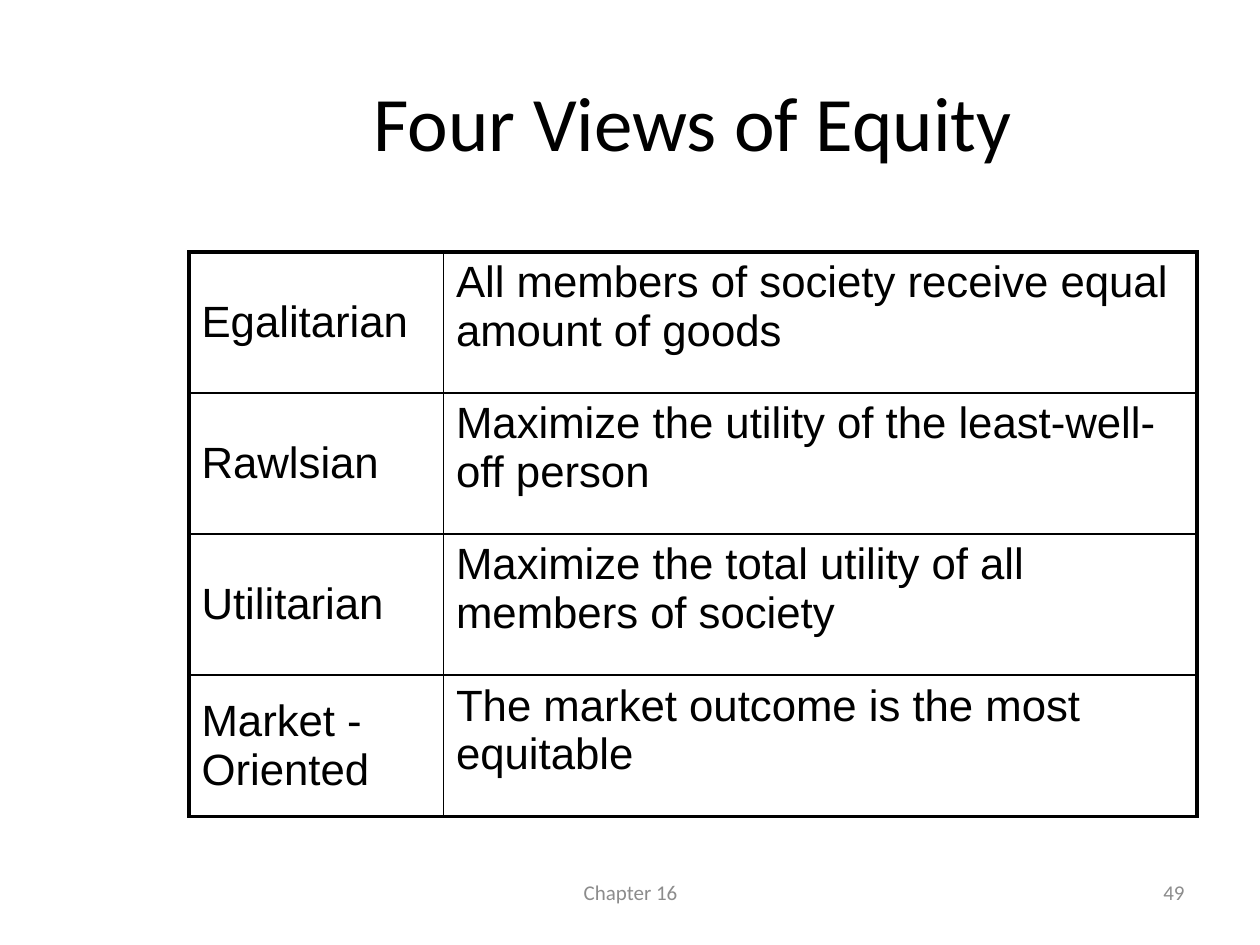
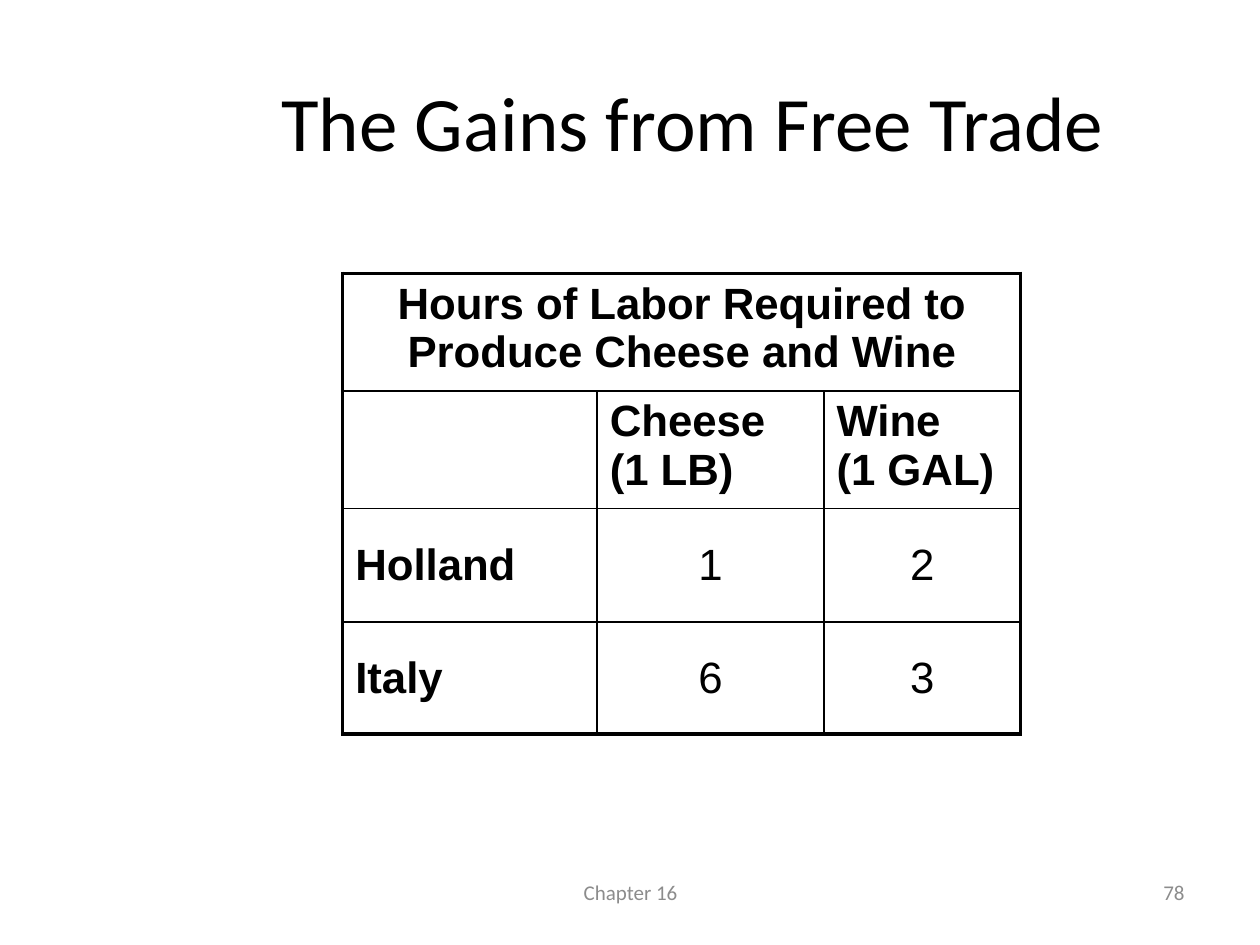
from pptx import Presentation
from pptx import util as u
from pptx.dml.color import RGBColor
from pptx.enum import text
from pptx.oxml.ns import qn
from lxml import etree

COLORS = {"ink": "000000", "muted": "8C8C8C"}
LEFT, CENTER, RIGHT = text.PP_ALIGN.LEFT, text.PP_ALIGN.CENTER, text.PP_ALIGN.RIGHT
TOP, MIDDLE = text.MSO_ANCHOR.TOP, text.MSO_ANCHOR.MIDDLE
CELL_STYLES = {
    "view": (MIDDLE, LEFT, False),
    "meaning": (TOP, LEFT, False),
    "caption": (TOP, CENTER, True),
    "head": (TOP, LEFT, True),
    "country": (MIDDLE, LEFT, True),
    "hours": (MIDDLE, CENTER, False),
}
OUTER, INNER = u.Pt(2.25), u.Pt(1)


class Deck:
    def __init__(self):
        self.prs = Presentation()
        self.prs.slide_width = u.Inches(10)
        self.prs.slide_height = u.Inches(7.5)
        self.s = None

    def slide(self, title, number):
        self.s = self.prs.slides.add_slide(self.prs.slide_layouts[6])
        self.text("Chapter 16", 3.42, 6.83, 3.17, 0.5, 12, "muted", CENTER)
        self.text(str(number), 7.17, 6.83, 2.33, 0.5, 12, "muted", RIGHT)
        self.text(title, 1.5, 0.33, 8, 1.25, 44, "ink", CENTER)

    def add_lines(self, tf, content, size, font, color, align, bold=False):
        for i, line in enumerate(content.split("\n")):
            p = tf.add_paragraph() if i else tf.paragraphs[0]
            p.alignment = align
            r = p.add_run()
            r.text = line
            r.font.name = font
            r.font.size = u.Pt(size)
            r.font.bold = bold
            r.font.color.rgb = RGBColor.from_string(COLORS[color])

    def text(self, content, x, y, w, h, size, color, align):
        sp = self.s.shapes.add_textbox(*map(u.Inches, (x, y, w, h)))
        tf = sp.text_frame
        tf.word_wrap = True
        tf.vertical_anchor = MIDDLE
        self.add_lines(tf, content, size, "Calibri", color, align)

    def borders(self, cell, outer):
        tc_pr = cell._tc.get_or_add_tcPr()
        for side in "LRTB":
            if cell.is_spanned and not outer[side]:
                continue
            width = OUTER if outer[side] else INNER
            ln = etree.SubElement(tc_pr, qn(f"a:ln{side}"), w=str(width))
            fill = etree.SubElement(ln, qn("a:solidFill"))
            etree.SubElement(fill, qn("a:srgbClr"), val=COLORS["ink"])

    def table(self, x, y, widths, heights, rows, merged_top=False):
        n_rows, n_cols = len(heights), len(widths)
        frame = self.s.shapes.add_table(
            n_rows, n_cols, *map(u.Inches, (x, y, sum(widths), sum(heights))))
        table = frame.table
        table.first_row = table.horz_banding = False
        for column, width in zip(table.columns, widths):
            column.width = u.Inches(width)
        for row, height in zip(table.rows, heights):
            row.height = u.Inches(height)
        if merged_top:
            table.cell(0, 0).merge(table.cell(0, n_cols - 1))
        for i in range(n_rows):
            for j in range(n_cols):
                cell = table.cell(i, j)
                span = cell.span_width if cell.is_merge_origin else 1
                self.borders(cell, {"L": j == 0, "R": j + span == n_cols,
                                    "T": i == 0, "B": i == n_rows - 1})
                cell.fill.background()
        for i, row in enumerate(rows):
            for j, (style, content) in enumerate(row):
                if content:
                    cell = table.cell(i, j)
                    anchor, align, bold = CELL_STYLES[style]
                    cell.vertical_anchor = anchor
                    self.add_lines(cell.text_frame, content, 25, "Arial", "ink", align, bold)


def main():
    deck = Deck()

    deck.slide("Four Views of Equity", 49)
    views = [
        ("Egalitarian", "All members of society receive equal amount of goods"),
        ("Rawlsian", "Maximize the utility of the least-well-off person"),
        ("Utilitarian", "Maximize the total utility of all members of society"),
        ("Market - Oriented", "The market outcome is the most equitable"),
    ]
    deck.table(1.5, 2, [2.02, 5.98], [1.12] * 4,
               [[("view", view), ("meaning", meaning)] for view, meaning in views])

    deck.slide("The Gains from Free Trade", 78)
    labor = [("Holland", "1", "2"), ("Italy", "6", "3")]
    rows = [
        [("caption", "Hours of Labor Required to Produce Cheese and Wine")],
        [("head", ""), ("head", "Cheese (1 LB)"), ("head", "Wine\n(1 GAL)")],
    ]
    rows += [[("country", country), ("hours", cheese), ("hours", wine)]
             for country, cheese, wine in labor]
    deck.table(2.72, 2.17, [2.02, 1.8, 1.56], [0.69, 0.81, 0.9, 0.89], rows,
               merged_top=True)

    deck.prs.save("out.pptx")


if __name__ == "__main__":
    main()
